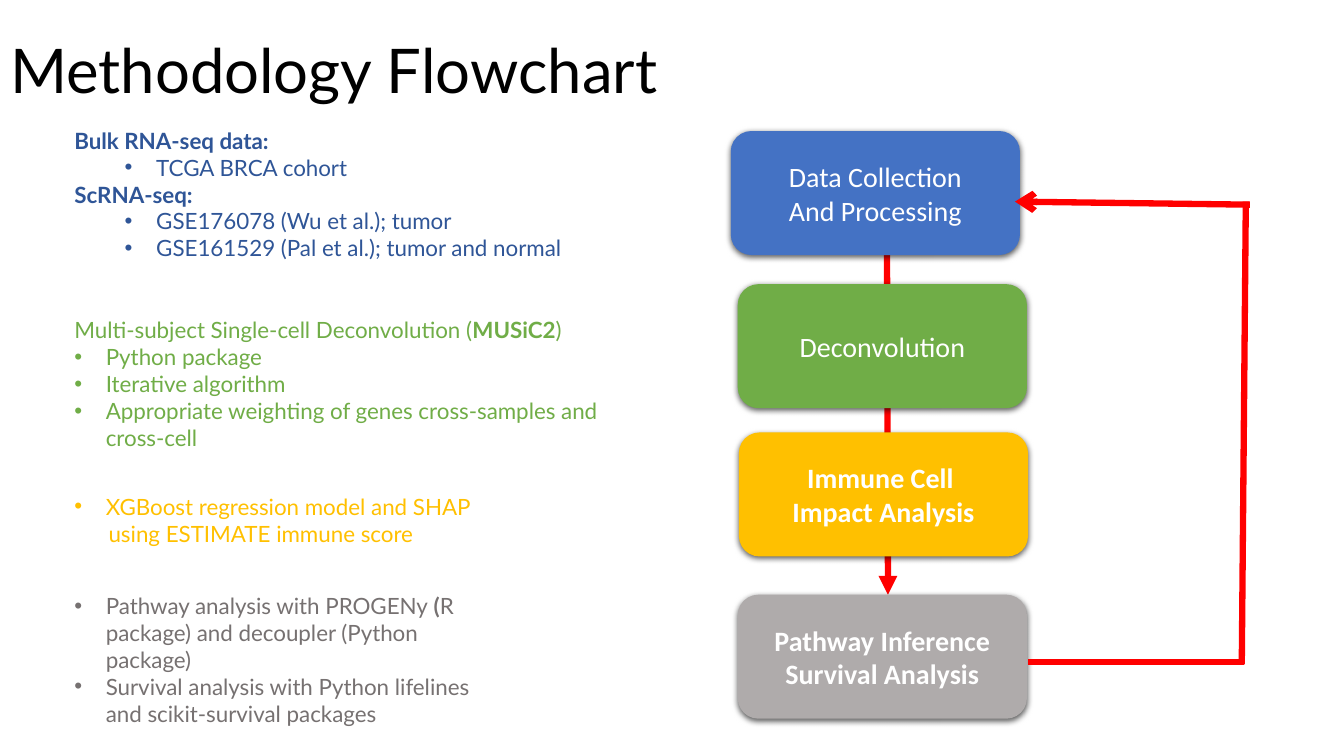
from lxml.etree import SubElement
from pptx import Presentation
from pptx.dml.color import RGBColor
from pptx.enum.shapes import MSO_CONNECTOR, MSO_SHAPE
from pptx.enum.text import MSO_ANCHOR, MSO_AUTO_SIZE, PP_ALIGN
from pptx.oxml.ns import qn
from pptx.util import Pt

TITLE = "Methodology Flowchart"
RED = "FF0000"
WHITE = "FFFFFF"
HANG = 22.5
NOTE_LEFT = 46
STEP_WIDTH, STEP_HEIGHT = 206.6, 88.6

STEPS = [
    (522, 93.6, "4472C4", False, ["Data Collection", "And Processing"]),
    (527, 203, "70AD47", False, ["Deconvolution"]),
    (527.8, 308.9, "FFC000", True, ["Immune Cell ", "Impact Analysis"]),
    (527, 424.8, "AFABAB", True, ["Pathway Inference", "Survival Analysis"]),
]

FLOW = ((633.6, 182.2), (634.3, 424.8))
FEEDBACK = [
    ((734.4, 473), (888.5, 473), None),
    ((889.9, 144), (887, 474.5), None),
    ((725, 144), (892.8, 146.2), "arrow"),
]

PLAIN, BULLET, SUB_BULLET, CONTINUED = "plain", "bullet", "sub", "continued"
INDENTS = {
    PLAIN: (0, 0),
    BULLET: (HANG, -HANG),
    SUB_BULLET: (36 + HANG, -HANG),
    CONTINUED: (24.5, 0),
}

NOTES = [
    (222.5, 422, 123.8, "70AD47", [
        (PLAIN, [("Multi-subject Single-cell Deconvolution (", False), ("MUSiC2", True), (")", False)]),
        (BULLET, [("Python package", False)]),
        (BULLET, [("Iterative algorithm", False)]),
        (BULLET, [("Appropriate weighting of genes cross-samples and cross-cell", False)]),
    ]),
    (87.1, 453, 126, "2F5597", [
        (PLAIN, [("Bulk RNA-seq data:", True)]),
        (SUB_BULLET, [("TCGA BRCA cohort", False)]),
        (PLAIN, [("ScRNA-seq:", True)]),
        (SUB_BULLET, [("GSE176078 (Wu et al.); tumor", False)]),
        (SUB_BULLET, [("GSE161529 (Pal et al.); tumor and normal", False)]),
    ]),
    (348.5, 304.6, 46, "FFC000", [
        (BULLET, [("XGBoost regression model and SHAP", False)]),
        (CONTINUED, [("using ESTIMATE immune score", False)]),
    ]),
    (419.5, 304.6, 104.4, "767171", [
        (BULLET, [("Pathway analysis with PROGENy", False), (" (", True),
                  ("R package) and decoupler (Python package)", False)]),
        (BULLET, [("Survival analysis with Python lifelines and scikit-survival packages", False)]),
    ]),
]


def color(hex_value):
    return RGBColor.from_string(hex_value)


def write_text(frame, paragraphs, *, font, size, ink, align=PP_ALIGN.LEFT,
               anchor=MSO_ANCHOR.TOP, spacing=None, fit=MSO_AUTO_SIZE.NONE):
    frame.word_wrap = True
    frame.auto_size = fit
    frame.vertical_anchor = anchor
    for index, (role, pieces) in enumerate(paragraphs):
        paragraph = frame.add_paragraph() if index else frame.paragraphs[0]
        paragraph.alignment = align
        if spacing:
            paragraph.line_spacing = spacing
        margin, indent = INDENTS[role]
        if margin:
            properties = paragraph._p.get_or_add_pPr()
            properties.set("marL", str(Pt(margin)))
            properties.set("indent", str(Pt(indent)))
        if role == SUB_BULLET:
            paragraph.level = 1
        if indent:
            SubElement(properties, qn("a:buFont"), typeface="Arial")
            SubElement(properties, qn("a:buChar"), char="•")
        for words, bold in pieces:
            run = paragraph.add_run()
            run.text = words
            run.font.name = font
            run.font.size = Pt(size)
            run.font.bold = bold
            run.font.color.rgb = color(ink)


def add_line(start, end, head=None, tail=None):
    line = slide.shapes.add_connector(MSO_CONNECTOR.STRAIGHT, *map(Pt, start + end))
    line.line.color.rgb = color(RED)
    line.line.width = Pt(4.5)
    outline = line.line._get_or_add_ln()
    for tag, kind in (("a:headEnd", head), ("a:tailEnd", tail)):
        if kind:
            SubElement(outline, qn(tag), type=kind)
    SubElement(line._element.spPr, qn("a:effectLst"))


def add_shadow(shape):
    shape.shadow.inherit = False
    effects = shape._element.spPr.find(qn("a:effectLst"))
    shadow = SubElement(effects, qn("a:outerShdw"), blurRad=str(Pt(4.5)), dist=str(Pt(1.5)),
                        dir="5400000", algn="ctr", rotWithShape="0")
    black = SubElement(shadow, qn("a:srgbClr"), val="000000")
    SubElement(black, qn("a:alpha"), val="63000")


deck = Presentation()
deck.slide_width, deck.slide_height = Pt(960), Pt(540)
slide = deck.slides.add_slide(deck.slide_layouts[5])

title = slide.shapes.title
title.left, title.top, title.width, title.height = Pt(0), Pt(0), Pt(828), Pt(104.4)
write_text(title.text_frame, [(PLAIN, [(TITLE, False)])], font="Lato", size=44,
           ink="000000", anchor=MSO_ANCHOR.MIDDLE, spacing=0.9)

add_line(*FLOW, tail="triangle")

for left, top, fill, bold, lines in STEPS:
    step = slide.shapes.add_shape(MSO_SHAPE.ROUNDED_RECTANGLE, Pt(left), Pt(top),
                                  Pt(STEP_WIDTH), Pt(STEP_HEIGHT))
    step.fill.solid()
    step.fill.fore_color.rgb = color(fill)
    step.line.fill.background()
    add_shadow(step)
    write_text(step.text_frame, [(PLAIN, [(words, bold)]) for words in lines],
               font="Calibri", size=20, ink=WHITE, align=PP_ALIGN.CENTER,
               anchor=MSO_ANCHOR.MIDDLE)

for start, end, head in FEEDBACK:
    add_line(start, end, head=head)

for top, width, height, ink, paragraphs in NOTES:
    note = slide.shapes.add_textbox(Pt(NOTE_LEFT), Pt(top), Pt(width), Pt(height))
    write_text(note.text_frame, paragraphs, font="Lato", size=16, ink=ink,
               fit=MSO_AUTO_SIZE.SHAPE_TO_FIT_TEXT)

deck.save("out.pptx")
